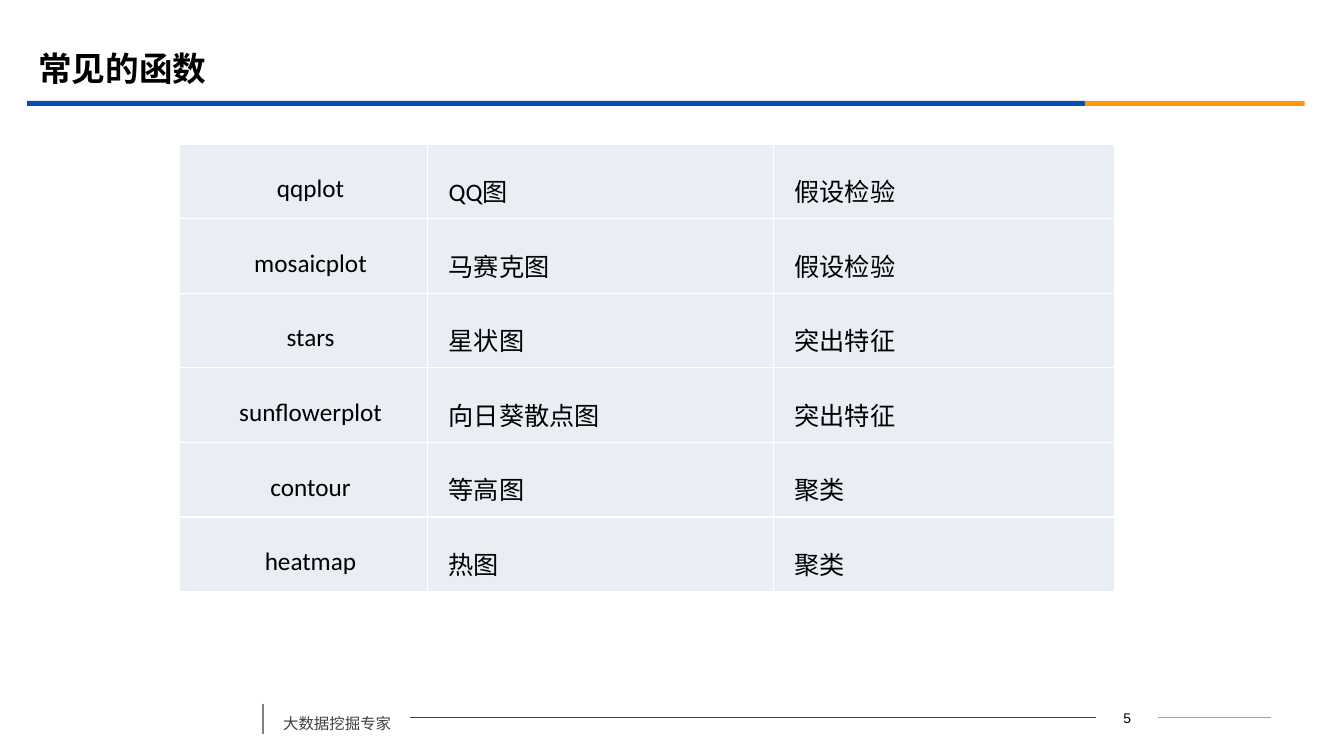
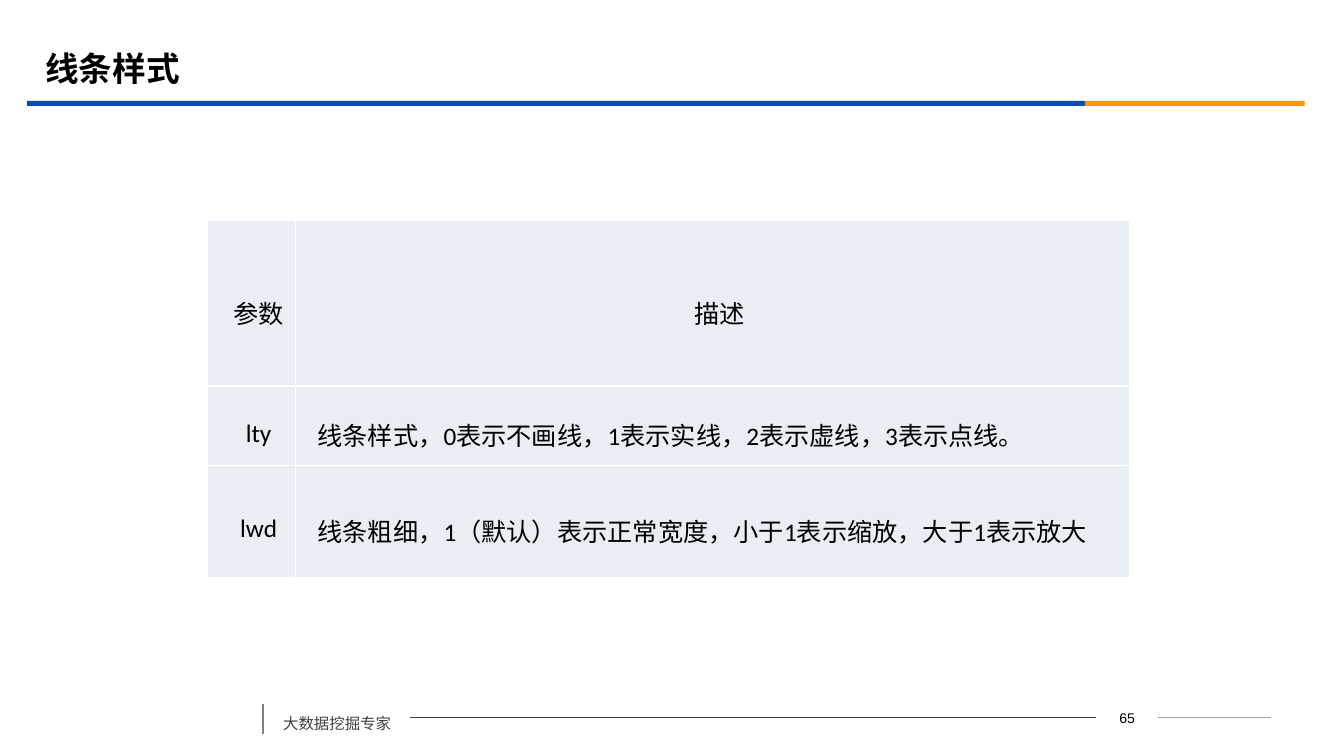
from pptx import Presentation
from pptx import util as u
from pptx.dml.color import RGBColor
from pptx.enum import shapes, text
from pptx.oxml import ns, xmlchemy as xc

PX = 9144  # EMU in one px, 100 px to the inch

BLUE = RGBColor(0x06, 0x4B, 0xB2)
GOLD = RGBColor(0xFB, 0x97, 0x08)
CELL = RGBColor(0xE9, 0xED, 0xF4)
WHITE = RGBColor(0xFF, 0xFF, 0xFF)
BLACK = RGBColor(0x00, 0x00, 0x00)
INK = RGBColor(0x40, 0x40, 0x40)
GREY = RGBColor(0x80, 0x80, 0x80)
PALE = RGBColor(0xA0, 0xA0, 0xA0)

HAN = "Noto Sans CJK SC"
LEFT = text.PP_ALIGN.LEFT
MID = text.PP_ALIGN.CENTER
JUST = text.PP_ALIGN.JUSTIFY


def px(*vals):
    return [u.Emu(v * PX) for v in vals]


class Deck:
    def __init__(self):
        self.prs = Presentation()
        self.prs.slide_width, self.prs.slide_height = px(1333, 750)
        self.slide = None

    def page(self, title, num, inset=10):
        """Start a slide with the shared title, bands and footer."""
        self.slide = self.prs.slides.add_slide(self.prs.slide_layouts[5])
        # Bands
        self.band(27, 1049, BLUE)
        self.band(1076, 218, GOLD)
        # Footer
        self.line(261, 698, 261, 728, GREY, 1.25)
        self.line(407, 712, 1087, 712, INK, 0.75)
        self.line(1149, 712, 1261, 712, PALE, 0.75)
        self.label((271, 694, 136, 38), "大数据挖掘专家", 11, HAN, INK, LEFT, 1.5)
        self.label((1087, 699, 62, 25), str(num), 10, "Arial", BLACK, MID, 1)
        # Title
        head = self.slide.shapes.title
        head.left, head.top, head.width, head.height = px(28, 39, 1200, 58)
        frame = head.text_frame
        frame.auto_size = text.MSO_AUTO_SIZE.NONE
        frame.vertical_anchor = text.MSO_ANCHOR.MIDDLE
        frame.margin_left, = px(inset)
        self.put(frame, title, 24, HAN, BLACK, LEFT, bold=True)

    def put(self, frame, words, size, face, color, align, space=1, bold=False):
        para = frame.paragraphs[0]
        para.alignment = align
        para.line_spacing = space
        run = para.add_run()
        run.text = words
        font = run.font
        font.size, font.name, font.bold = u.Pt(size), face, bold
        font.color.rgb = color
        east = xc.OxmlElement("a:ea")
        east.set("typeface", HAN)
        run._r.rPr.find(ns.qn("a:latin")).addnext(east)
        return para

    def label(self, box, words, size, face, color, align, space):
        frame = self.slide.shapes.add_textbox(*px(*box)).text_frame
        frame.word_wrap = True
        self.put(frame, words, size, face, color, align, space)

    def band(self, x, w, color):
        bar = self.slide.shapes.add_shape(
            shapes.MSO_SHAPE.RECTANGLE, *px(x, 100, w, 5))
        bar.shadow.inherit = False
        bar.fill.solid()
        bar.fill.fore_color.rgb = color
        bar.line.fill.background()

    def line(self, x1, y1, x2, y2, color, width):
        rule = self.slide.shapes.add_connector(
            shapes.MSO_CONNECTOR.STRAIGHT, *px(x1, y1, x2, y2))
        rule.line.color.rgb = color
        rule.line.width = u.Pt(width)
        rule._element.spPr.append(xc.OxmlElement("a:effectLst"))

    def table(self, x, y, cols, rows, data, pad, aligns):
        """Draw a grid; aligns(r, c) gives the alignment of a cell."""
        box = px(x, y, sum(cols), sum(rows))
        grid = self.slide.shapes.add_table(len(rows), len(cols), *box).table
        grid.first_row = grid.horz_banding = False
        for col, w in zip(grid.columns, px(*cols)):
            col.width = w
        for row, h in zip(grid.rows, px(*rows)):
            row.height = h
        for r, line in enumerate(data):
            for c, words in enumerate(line):
                self.cell(grid.cell(r, c), words, pad, aligns(r, c))

    def cell(self, cell, words, pad, align):
        cell.margin_left, cell.margin_right = px(pad, pad)
        cell.margin_top = cell.margin_bottom = 0
        cell.vertical_anchor = text.MSO_ANCHOR.MIDDLE
        para = self.put(cell.text_frame, words, 18, "Calibri", BLACK, align, 1.5)
        para._p.get_or_add_pPr().set("indent", str(14 * PX))
        # Borders come before the fill
        props = cell._tc.get_or_add_tcPr()
        for side in "LRTB":
            edge = xc.OxmlElement("a:ln" + side)
            edge.set("w", str(u.Pt(1)))
            fill = xc.OxmlElement("a:solidFill")
            tint = xc.OxmlElement("a:srgbClr")
            tint.set("val", str(WHITE))
            fill.append(tint)
            edge.append(fill)
            props.append(edge)
        cell.fill.solid()
        cell.fill.fore_color.rgb = CELL


def main():
    deck = Deck()

    # Common functions
    deck.page("常见的函数", 5)
    plots = [
        ("qqplot", "QQ图", "假设检验"),
        ("mosaicplot", "马赛克图", "假设检验"),
        ("stars", "星状图", "突出特征"),
        ("sunflowerplot", "向日葵散点图", "突出特征"),
        ("contour", "等高图", "聚类"),
        ("heatmap", "热图", "聚类"),
    ]
    deck.table(178, 143, [246, 343, 339], [74] * len(plots), plots, 7,
               lambda r, c: JUST if c else MID)

    # Line styles
    deck.page("线条样式", 65, inset=17)
    styles = [
        ("参数", "描述"),
        ("lty", "线条样式，0表示不画线，1表示实线，2表示虚线，3表示点线。"),
        ("lwd", "线条粗细，1（默认）表示正常宽度，小于1表示缩放，大于1表示放大"),
    ]
    deck.table(206, 219, [87, 827], [164, 79, 111], styles, 8,
               lambda r, c: JUST if r and c else MID)

    deck.prs.save("out.pptx")


if __name__ == "__main__":
    main()
